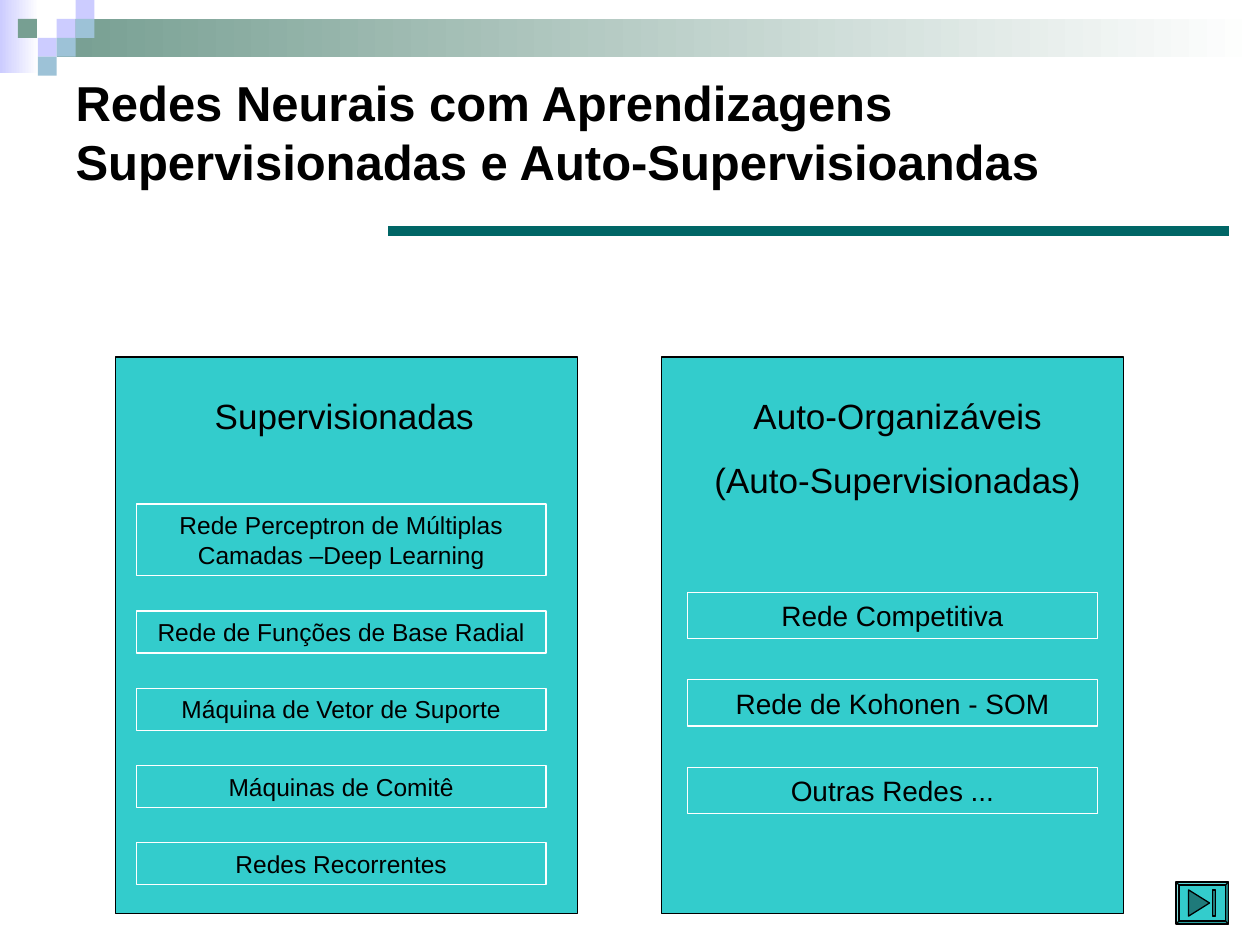
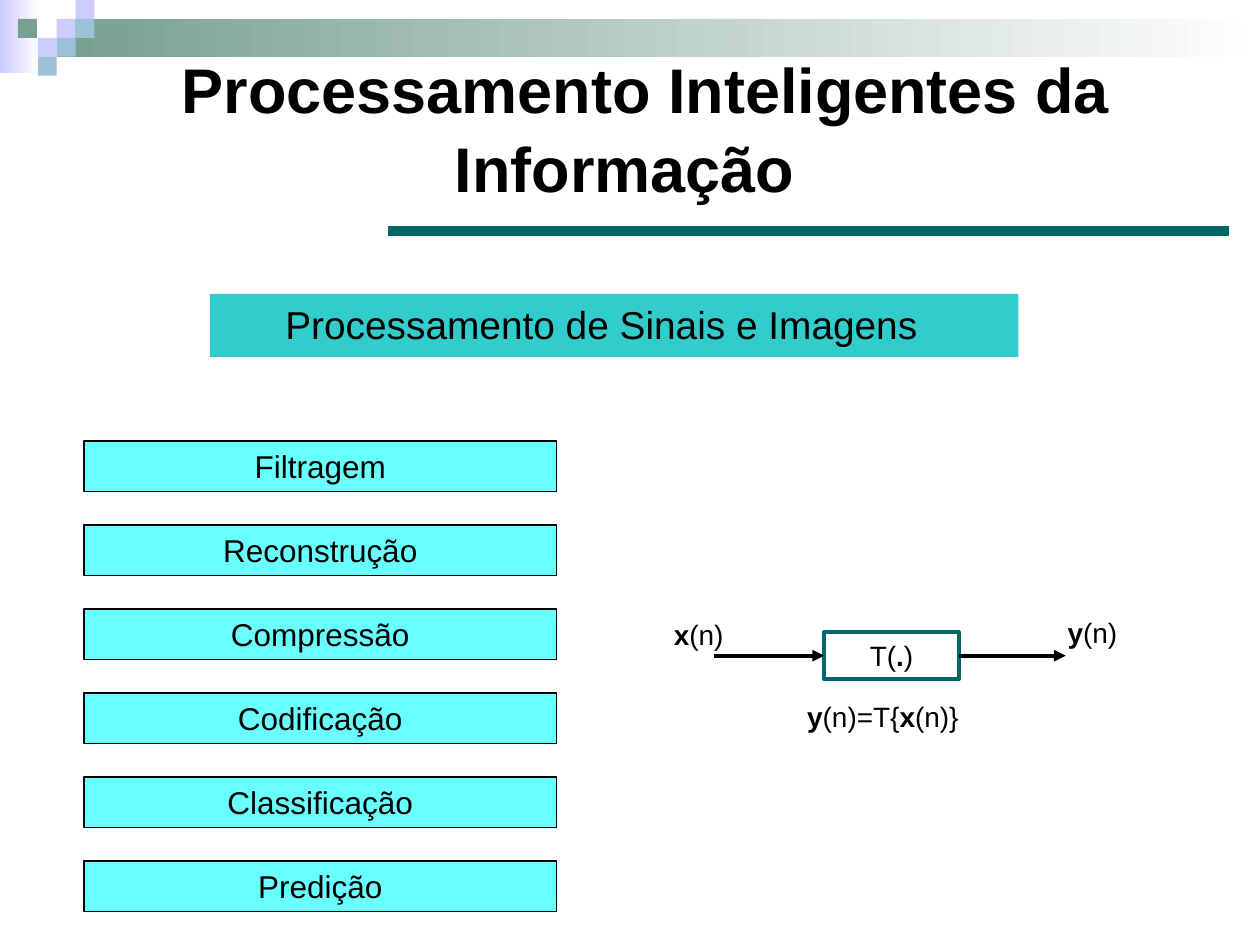
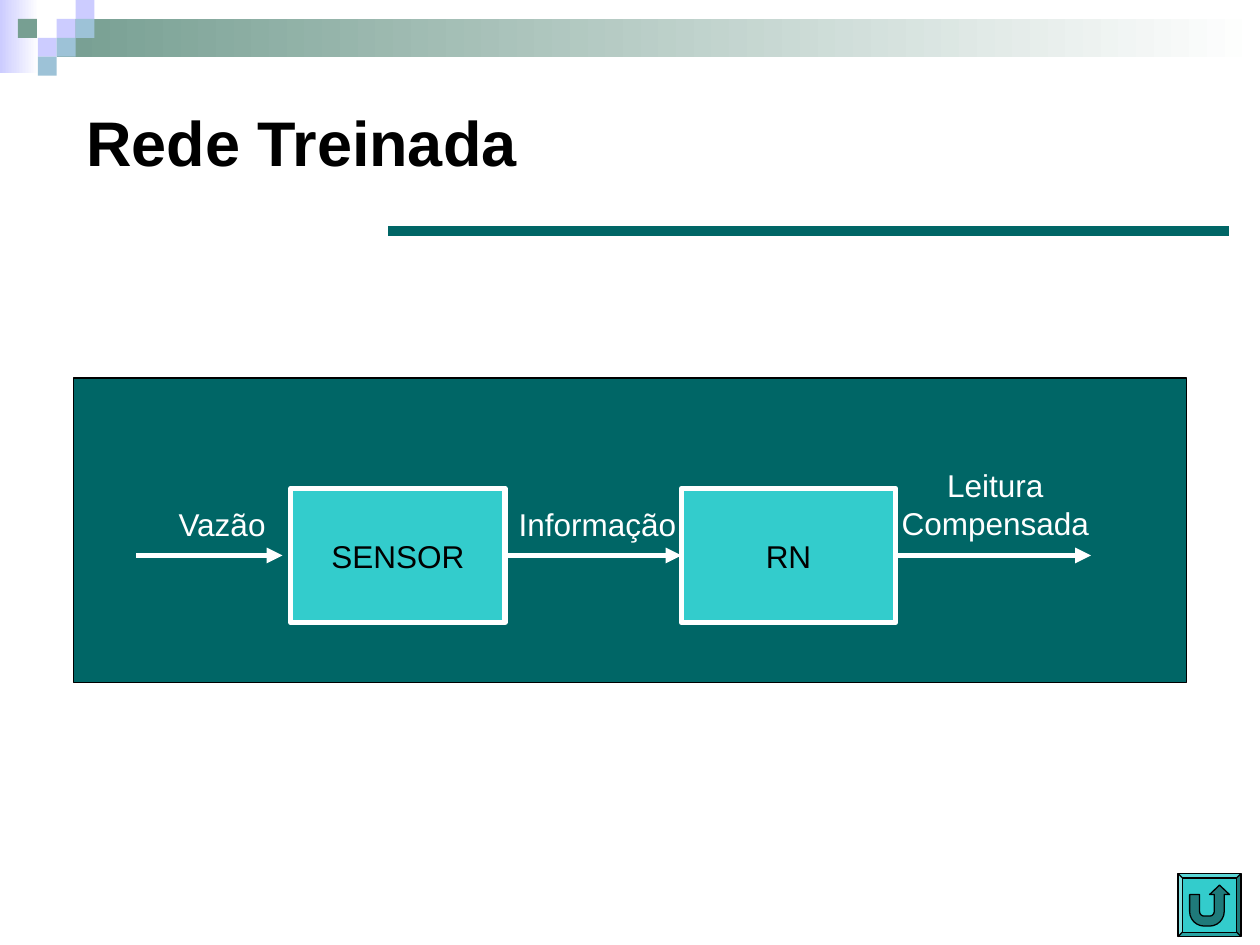
import math

import pptx
import pptx.dml.color
import pptx.enum.shapes
import pptx.enum.text
import pptx.util
import pptx.oxml.ns
from lxml import etree

RGBColor = pptx.dml.color.RGBColor
SHAPE = pptx.enum.shapes.MSO_SHAPE
ALIGN = pptx.enum.text.PP_ALIGN
ANCHOR = pptx.enum.text.MSO_ANCHOR

BLACK = RGBColor(0x00, 0x00, 0x00)
WHITE = RGBColor(0xFF, 0xFF, 0xFF)
TEAL = RGBColor(0x00, 0x66, 0x66)
TURQUOISE = RGBColor(0x33, 0xCC, 0xCC)
AQUA = RGBColor(0x69, 0xFF, 0xFF)
ICON_TEAL = RGBColor(0x1F, 0x7A, 0x7A)
LILAC = RGBColor(0xCC, 0xCC, 0xFF)
SAGE = RGBColor(0x77, 0x9F, 0x92)
SKY = RGBColor(0x9D, 0xC2, 0xD7)

FONT = "Arial"
COLUMNS, ROWS = 120, 90
TITLE_ONLY = 5
TOP, LEFT, RIGHT = 0, 1, 3


def write_text(frame, text, size=18, color=BLACK, bold=False, align=ALIGN.CENTER,
               anchor=ANCHOR.TOP, wrap=True, before=0, indent=0, spacing=None):
    """Lines become paragraphs; parts between ** are bold."""
    frame.word_wrap = wrap
    frame.auto_size = pptx.enum.text.MSO_AUTO_SIZE.NONE
    frame.vertical_anchor = anchor
    for number, line in enumerate(text.split("\n")):
        paragraph = frame.add_paragraph() if number else frame.paragraphs[0]
        paragraph.alignment = align
        paragraph.space_before = pptx.util.Pt(before if number else 0)
        if spacing:
            paragraph.line_spacing = spacing
        if indent:
            properties = paragraph._p.get_or_add_pPr()
            properties.set("marL", "0")
            properties.set("indent", str(pptx.util.Pt(indent)))
        for part, words in enumerate(line.split("**")):
            if words:
                run = paragraph.add_run()
                run.text = words
                run.font.name = FONT
                run.font.size = pptx.util.Pt(size)
                run.font.bold = bold or part % 2 == 1
                run.font.color.rgb = color


def arc(x, y, radius, start, end, steps=6):
    """Points of an arc, angles in degrees."""
    angles = [math.radians(start + (end - start) * i / steps) for i in range(steps + 1)]
    return [(x + radius * math.cos(a), y + radius * math.sin(a)) for a in angles]


class Deck:
    """Holds the style and the current slide; lengths are grid columns and rows."""

    def __init__(self):
        self.file = pptx.Presentation()
        self.file.slide_width = pptx.util.Inches(10)
        self.file.slide_height = pptx.util.Inches(7.5)
        self.layout = self.file.slide_layouts[TITLE_ONLY]
        self.slide = None

    def grid(self, *lengths):
        """Turn alternating columns and rows into slide lengths."""
        cells = (self.file.slide_width / COLUMNS, self.file.slide_height / ROWS)
        return [round(length * cells[i % 2]) for i, length in enumerate(lengths)]

    def new_slide(self, title, place, **style):
        first = self.slide is None
        self.slide = self.file.slides.add_slide(self.layout)
        if first:
            self.decorate_layout()
        heading = self.slide.shapes.title
        heading.left, heading.top, heading.width, heading.height = self.grid(*place)
        write_text(heading.text_frame, title, bold=True, anchor=ANCHOR.MIDDLE, **style)
        self.line((37, 22), (117, 22), TEAL, 6)

    def decorate_layout(self):
        """Draw the top band and its squares, then hand them to the layout."""
        unit = 1.8
        decor = [self.box((0, 0, 3.7, 7), fade=LILAC),
                 self.box((5.4, unit, 114.6, 3.6), fade=SAGE)]
        squares = [(3, 1, LILAC), (4, 0, LILAC), (4, 1, SKY), (2, 2, LILAC),
                   (0.95, 1, SAGE), (3, 2, SKY), (2, 3, SKY)]
        for column, row, color in squares:
            decor.append(self.box((column * unit, row * unit, unit, unit), fill=color))
        for number, shape in enumerate(decor):
            shape.element.nvSpPr.cNvPr.set("id", str(20 + number))
            self.layout.shapes.element.insert(2 + number, shape.element)

    def paint(self, shape, fill=None, line=None, weight=0.75):
        shape.shadow.inherit = False
        if fill is None:
            shape.fill.background()
        else:
            shape.fill.solid()
            shape.fill.fore_color.rgb = fill
        if line is None:
            shape.line.fill.background()
        else:
            shape.line.color.rgb = line
            shape.line.width = pptx.util.Pt(weight)
        return shape

    def box(self, place, text="", fill=None, line=None, weight=0.75,
            fade=None, kind=SHAPE.RECTANGLE, **style):
        shape = self.slide.shapes.add_shape(kind, *self.grid(*place))
        self.paint(shape, fill, line, weight)
        if fade is not None:
            shape.fill.gradient()
            shape.fill.gradient_angle = 0
            for stop, color in zip(shape.fill.gradient_stops, (fade, WHITE)):
                stop.color.rgb = color
        if text:
            write_text(shape.text_frame, text, **style)
        return shape

    def stack(self, names, place, step, **style):
        left, top, width, height = place
        for number, name in enumerate(names):
            self.box((left, top + number * step, width, height), name, **style)

    def label(self, place, text, **style):
        area = self.slide.shapes.add_textbox(*self.grid(*place))
        write_text(area.text_frame, text, **style)

    def line(self, start, end, color, weight, arrow=False, begin=None, finish=None):
        link = self.slide.shapes.add_connector(
            pptx.enum.shapes.MSO_CONNECTOR.STRAIGHT, *self.grid(*start, *end))
        link.line.color.rgb = color
        link.line.width = pptx.util.Pt(weight)
        if begin:
            link.begin_connect(*begin)
        if finish:
            link.end_connect(*finish)
        if arrow:
            head = etree.SubElement(link.line._get_or_add_ln(), pptx.oxml.ns.qn("a:tailEnd"))
            head.set("type", "triangle")
        etree.SubElement(link.element.spPr, pptx.oxml.ns.qn("a:effectLst"))

    def button(self, place, outlines):
        """A bevelled button with an icon given relative to its corner."""
        frame = self.box(place, fill=TURQUOISE, line=BLACK, kind=SHAPE.BEVEL)
        frame.adjustments[0] = 0.07
        contours = [[self.grid(place[0] + x, place[1] + y) for x, y in outline]
                    for outline in outlines]
        builder = self.slide.shapes.build_freeform(*contours[0][0])
        for number, points in enumerate(contours):
            if number:
                builder.move_to(*points[0])
            builder.add_line_segments(points[1:], close=True)
        self.paint(builder.convert_to_shape(), ICON_TEAL, BLACK)


def learning_types(deck):
    deck.new_slide("Redes Neurais com Aprendizagens Supervisionadas e Auto-Supervisioandas",
                   (6, 5, 96, 15), size=28, align=ALIGN.LEFT)
    for left in (11, 63):
        deck.box((left, 34, 44, 53), fill=TURQUOISE, line=BLACK)

    # Supervised networks
    deck.label((13.3, 37, 39, 5.2), "Supervisionadas", size=20)
    deck.box((13, 48, 39, 6.8), "Rede Perceptron de Múltiplas Camadas –Deep Learning",
             line=WHITE, size=14)
    deck.stack(["Rede de Funções de Base Radial", "Máquina de Vetor de Suporte",
                "Máquinas de Comitê", "Redes Recorrentes"],
               (13, 58.2, 39, 4), 7.35, line=WHITE, size=14)

    # Self-organising networks
    deck.label((65, 37, 41, 11.3), "Auto-Organizáveis\n(Auto-Supervisionadas)",
               size=20, before=12.5)
    deck.stack(["Rede Competitiva", "Rede de Kohonen - SOM", "Outras Redes ..."],
               (65.5, 56.4, 39, 4.4), 8.35, line=WHITE, size=16)

    # Jump-to-end button
    triangle = [(1.2, 0.75), (3.2, 2), (1.2, 3.25)]
    bar = [(3.5, 0.75), (3.8, 0.75), (3.8, 3.25), (3.5, 3.25)]
    deck.button((112, 84, 5, 4), [triangle, bar])


def signal_processing(deck):
    deck.new_slide("Processamento Inteligentes da Informação", (8, 4, 103, 16),
                   size=36, indent=24, spacing=1.05)
    deck.box((20, 28, 77, 6), "Processamento de Sinais e Imagens", fill=TURQUOISE,
             size=22.2, align=ALIGN.LEFT, indent=36)

    # Tasks
    deck.stack(["Filtragem", "Reconstrução", "Compressão", "Codificação",
                "Classificação", "Predição"],
               (8, 42, 45, 4.8), 8, fill=AQUA, line=BLACK)

    # Transformation diagram
    transform = deck.box((78.5, 60.2, 12.8, 4.5), "T(**.**)", line=TEAL, weight=2.25, size=16)
    middle = 62.45
    deck.line((68, middle), (78.5, middle), BLACK, 2.25, True, finish=(transform, LEFT))
    deck.line((91.3, middle), (101.5, middle), BLACK, 2.25, True, begin=(transform, RIGHT))
    for left, top, width, formula in [(63, 58.2, 7.2, "**x**(n)"),
                                      (100.5, 58, 7.2, "**y**(n)"),
                                      (75.7, 66, 16.8, "**y**(n)=T{**x**(n)}")]:
        deck.label((left, top, width, 4.4), formula, size=16, align=ALIGN.LEFT, wrap=False)


def trained_network(deck):
    deck.new_slide("Rede Treinada", (7, 8, 103, 11), size=36, align=ALIGN.LEFT)
    deck.box((7, 36, 106, 29), fill=TEAL, line=BLACK)

    # Stages and the flow between them
    sensor, network = [
        deck.box((left, 46.5, 20.4, 12.8), name, fill=TURQUOISE, line=WHITE, weight=3,
                 anchor=ANCHOR.MIDDLE, wrap=False)
        for left, name in [(27.7, "SENSOR"), (64.9, "RN")]]
    middle = 52.9
    deck.line((13, middle), (26.9, middle), WHITE, 3, True)
    deck.line((48.1, middle), (64.9, middle), WHITE, 3, True,
              begin=(sensor, RIGHT), finish=(network, LEFT))
    deck.line((85.3, middle), (103.9, middle), WHITE, 3, True, begin=(network, RIGHT))
    for left, top, width, height, name in [(15.7, 47.5, 10.9, 4.8, "Vazão"),
                                           (48.2, 47.5, 17.4, 4.8, "Informação"),
                                           (84.7, 43.8, 20.2, 8.4, "Leitura\nCompensada")]:
        deck.label((left, top, width, height), name, color=WHITE, wrap=False)

    # Return button
    inner = arc(2.5, 3.6, 0.45, 180, 90) + arc(3, 3.6, 0.45, 90, 0)
    outer = arc(3, 3.6, 1.4, 0, 90) + arc(2.5, 3.6, 1.4, 90, 180)
    arrow_head = [(3.45, 2), (3, 2), (3.95, 1.1), (4.9, 2), (4.4, 2)]
    deck.button((112.2, 83.2, 6, 6),
                [[(1.1, 2), (2.05, 2)] + inner + arrow_head + outer])


def main():
    deck = Deck()
    learning_types(deck)
    signal_processing(deck)
    trained_network(deck)
    deck.file.save("out.pptx")


if __name__ == "__main__":
    main()
